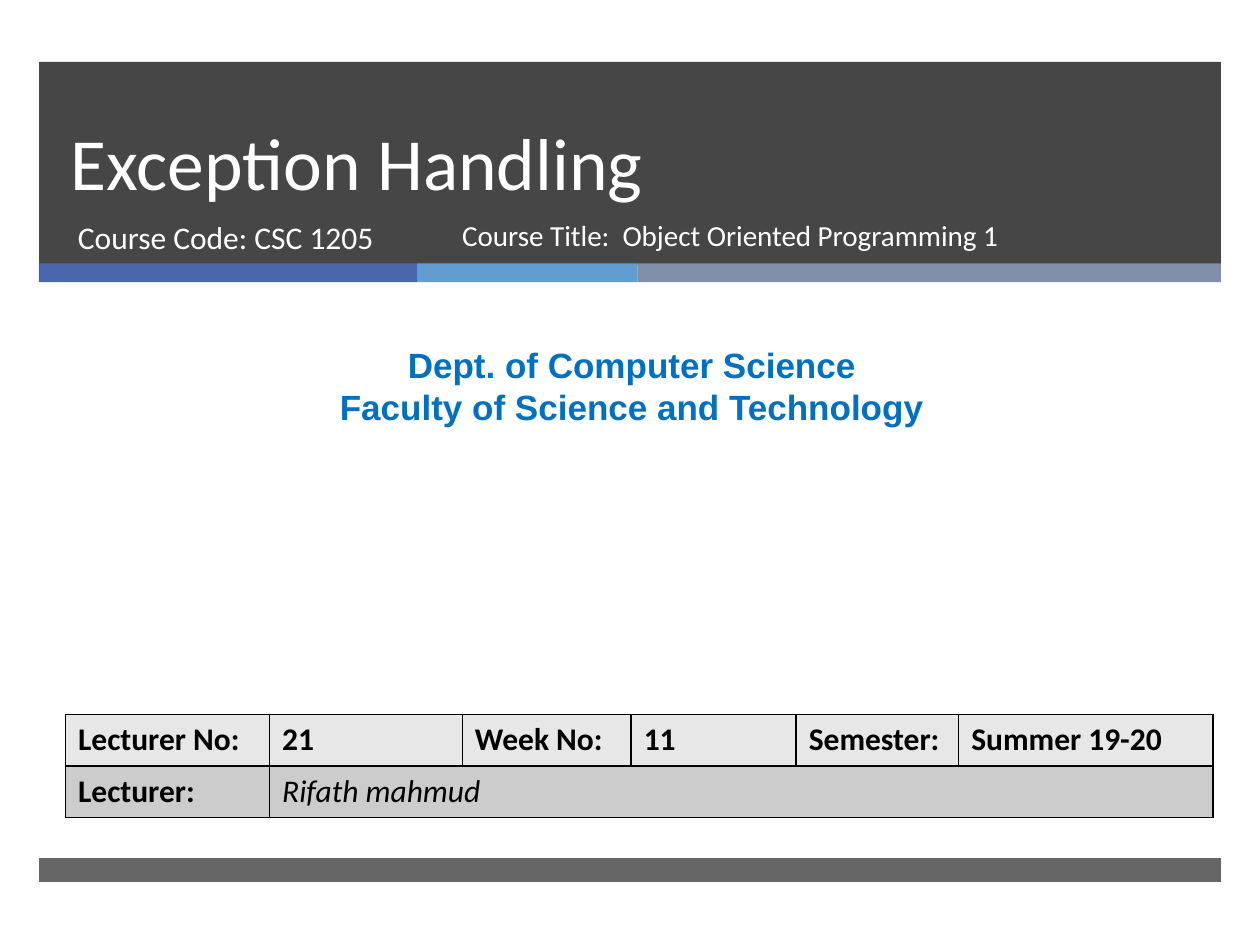
from dataclasses import dataclass

from lxml.etree import SubElement
from pptx import Presentation
from pptx.dml.color import RGBColor
from pptx.enum.shapes import MSO_SHAPE
from pptx.enum.text import MSO_ANCHOR, MSO_AUTO_SIZE, PP_ALIGN
from pptx.oxml.ns import qn
from pptx.util import Inches, Pt


@dataclass
class Bar:
    left: float
    top: float
    width: float
    height: float
    color: str
    alpha: int = 100


@dataclass
class Label:
    left: float
    top: float
    width: float
    height: float
    lines: list[str]
    size: float
    font: str = "Calibri"
    color: str = "FFFFFF"
    bold: bool = False
    align: PP_ALIGN = PP_ALIGN.LEFT


BARS = [
    Bar(0.31, 0.49, 9.38, 1.61, "262626", 85),
    Bar(0.31, 2.09, 3, 0.15, "4A66AC"),
    Bar(3.31, 2.09, 1.75, 0.15, "629DD1"),
    Bar(5.06, 2.09, 4.63, 0.15, "7F8FA9"),
    Bar(0.31, 6.81, 9.38, 0.19, "262626", 70),
]
TITLE = Label(0.46, 0.49, 8.54, 1.19, ["Exception Handling"], 42)
LABELS = [
    Label(0.52, 1.68, 3.05, 0.53, ["Course Code: CSC 1205"], 18),
    Label(3.57, 1.68, 4.61, 0.53,
          ["Course Title:  Object Oriented Programming 1"], 16.6),
    Label(0.08, 2.68, 9.87, 0.77,
          ["Dept. of Computer Science", "Faculty of Science and Technology"],
          20, "Arial", "0070C0", True, PP_ALIGN.CENTER),
]
COLUMNS = [1.62, 1.53, 1.34, 1.31, 1.29, 2.02]
ROWS = [
    ["Lecturer No:", "21", "Week No:", "11", "Semester:", "Summer 19-20"],
    ["Lecturer:", "Rifath mahmud"],
]
ROW_FILLS = ["E7E7E7", "CCCCCC"]
ROW_HEIGHT = 0.41


def rgb(color: str) -> RGBColor:
    return RGBColor.from_string(color)


def apply(target, values: dict) -> None:
    for name, value in values.items():
        setattr(target, name, value)


def set_run(p, text: str, size: float, font: str, color: str, **style) -> None:
    r = p.add_run()
    r.text = text
    apply(r.font, {"size": Pt(size), "name": font, **style})
    r.font.color.rgb = rgb(color)


def draw_bar(s, bar: Bar):
    sp = s.shapes.add_shape(
        MSO_SHAPE.RECTANGLE,
        *map(Inches, (bar.left, bar.top, bar.width, bar.height)))
    sp.shadow.inherit = False
    sp.line.fill.background()
    sp.fill.solid()
    sp.fill.fore_color.rgb = rgb(bar.color)
    if bar.alpha < 100:
        clr = sp.element.spPr.find(qn("a:solidFill"))[0]
        SubElement(clr, qn("a:alpha"), val=str(bar.alpha * 1000))
    return sp


def write_label(sp, label: Label) -> None:
    apply(sp, {name: Inches(getattr(label, name))
               for name in ("left", "top", "width", "height")})
    tf = sp.text_frame
    apply(tf, {"word_wrap": True, "auto_size": MSO_AUTO_SIZE.NONE})
    for i, line in enumerate(label.lines):
        p = tf.add_paragraph() if i else tf.paragraphs[0]
        p.alignment = label.align
        set_run(p, line, label.size, label.font, label.color, bold=label.bold)


def border_cell(cell) -> None:
    tc_pr = cell.fill._xPr
    for i, side in enumerate(("a:lnL", "a:lnR", "a:lnT", "a:lnB")):
        ln = tc_pr.makeelement(qn(side), {"w": str(Pt(1))})
        fill = SubElement(ln, qn("a:solidFill"))
        SubElement(fill, qn("a:srgbClr"), val="000000")
        tc_pr.insert(i, ln)


def draw_table(s) -> None:
    table = s.shapes.add_table(
        len(ROWS), len(COLUMNS), Inches(0.52), Inches(5.67),
        Inches(sum(COLUMNS)), Inches(ROW_HEIGHT * len(ROWS))).table
    for column, width in zip(table.columns, COLUMNS):
        column.width = Inches(width)
    table.cell(1, 1).merge(table.cell(1, len(COLUMNS) - 1))
    for i, texts in enumerate(ROWS):
        table.rows[i].height = Inches(ROW_HEIGHT)
        for j in range(len(COLUMNS)):
            cell = table.cell(i, j)
            cell.fill.solid()
            cell.fill.fore_color.rgb = rgb(ROW_FILLS[i])
            border_cell(cell)
            if j < len(texts):
                is_name = (i, j) == (1, 1)
                set_run(cell.text_frame.paragraphs[0], texts[j], 18, "Calibri",
                        "000000", bold=not is_name, italic=is_name)


def main() -> None:
    prs = Presentation()
    apply(prs, {"slide_width": Inches(10), "slide_height": Inches(7.5)})
    s = prs.slides.add_slide(prs.slide_layouts[5])
    bars = [draw_bar(s, bar) for bar in BARS]
    title = s.shapes.title
    bars[-1].element.addnext(title.element)
    write_label(title, TITLE)
    title.text_frame.vertical_anchor = MSO_ANCHOR.BOTTOM
    title.text_frame.paragraphs[0].line_spacing = Pt(46)
    for label in LABELS:
        write_label(s.shapes.add_textbox(0, 0, 0, 0), label)
    draw_table(s)
    prs.save("out.pptx")


if __name__ == "__main__":
    main()
